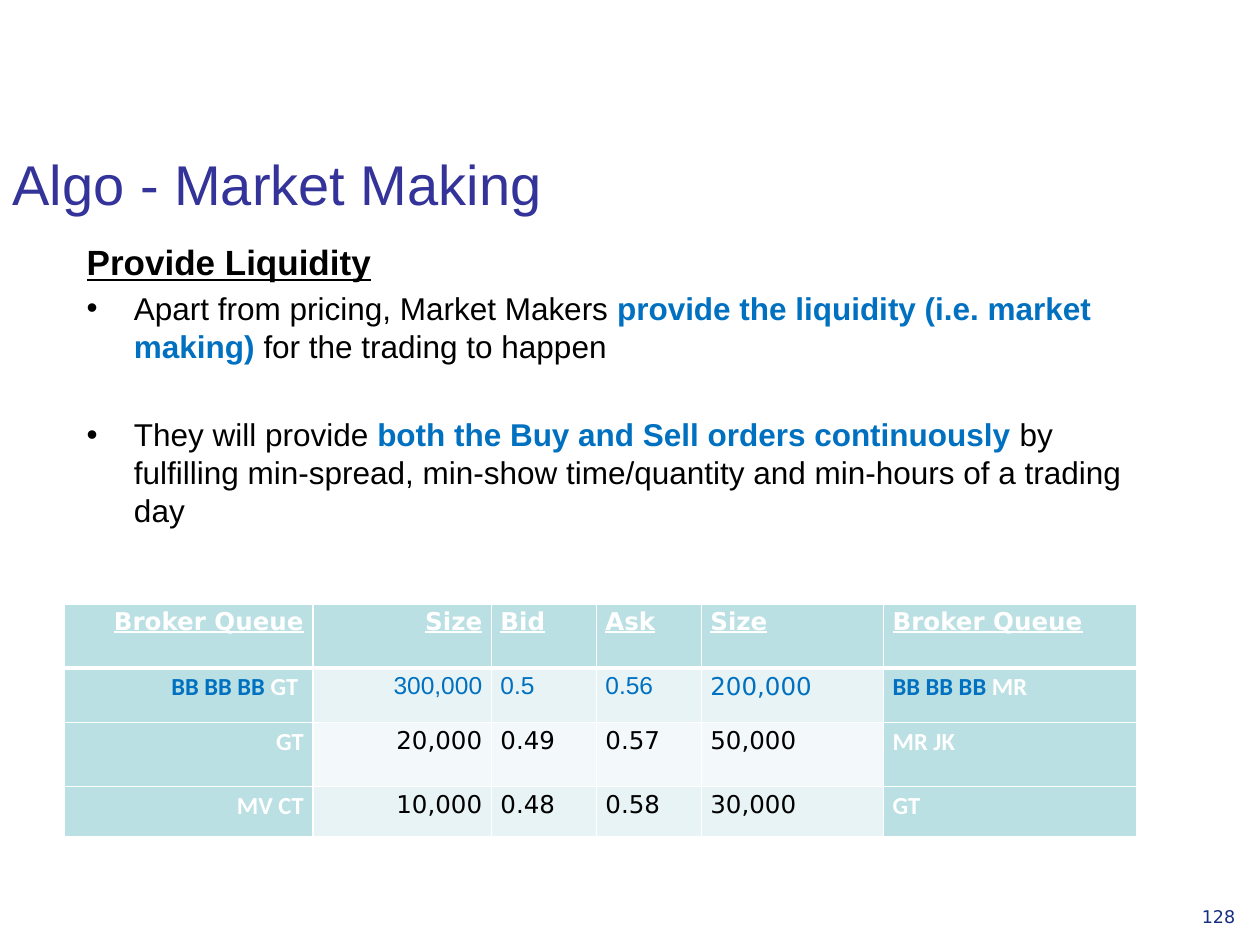
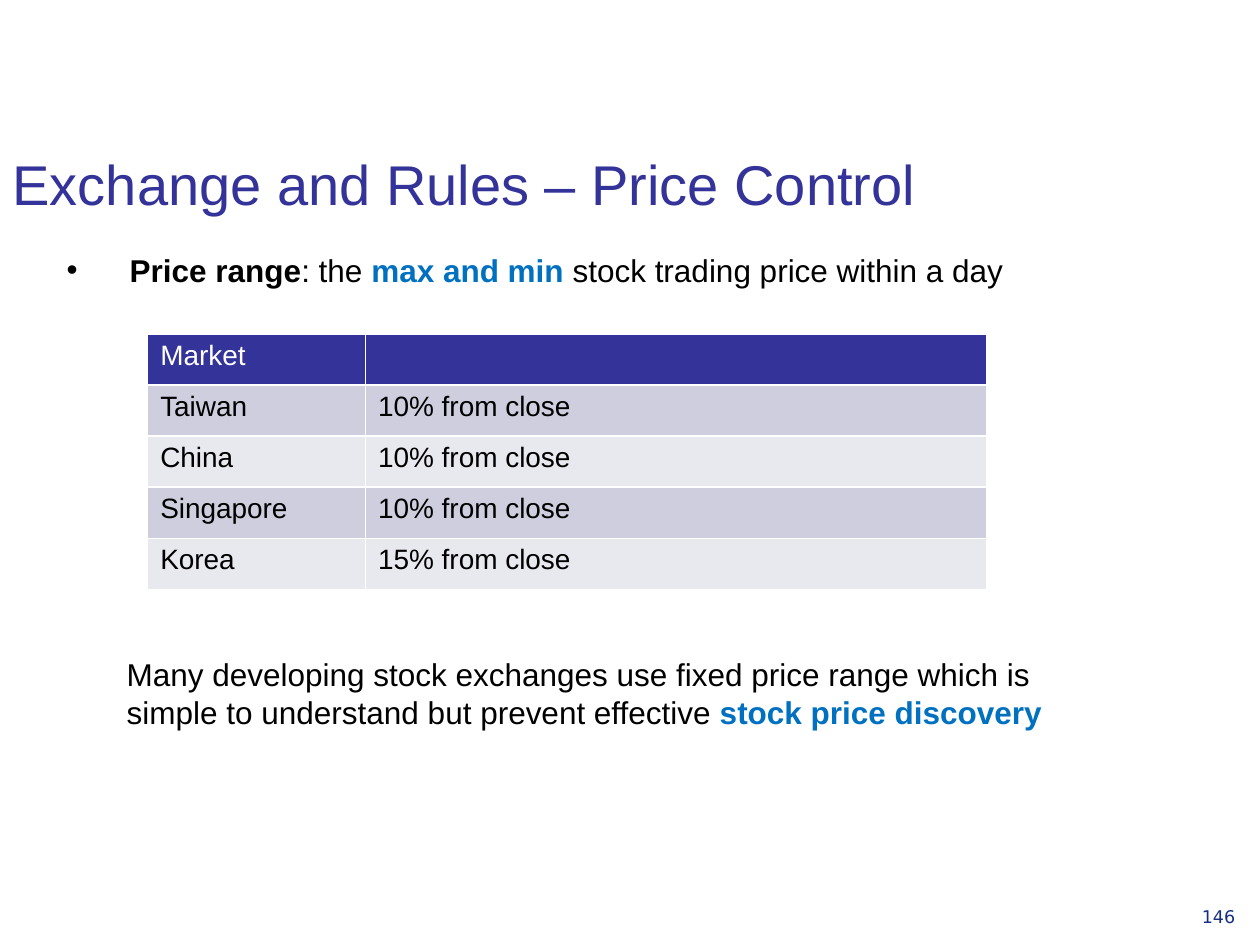
"""Build two slides on market making and price control."""
from dataclasses import dataclass
from typing import NamedTuple

from lxml import etree
from pptx import Presentation
from pptx import util as u
from pptx.dml.color import RGBColor
from pptx.enum import text as t
from pptx.oxml import ns

INK = {
    "title": "333399", "body": "000000", "key": "0070C0", "page": "152E82",
    "white": "FFFFFF", "teal": "BBE0E3", "mist": "E7F3F4", "pale": "F3F9FA",
    "lilac": "CECEDE", "fog": "E8E8EF",
}
SANS, WIDE, SLIM = "Arial", "DejaVu Sans", "Calibri"
LEFT, RIGHT = t.PP_ALIGN.LEFT, t.PP_ALIGN.RIGHT


class Box(NamedTuple):
    left: float
    top: float
    width: float
    height: float


class Span(NamedTuple):
    text: str
    ink: str = "body"
    bold: bool = False
    under: bool = False
    face: str = SANS
    size: float = 18


class Para(NamedTuple):
    spans: list[Span]
    indent: float = 0
    before: float = 0


class Cell(NamedTuple):
    spans: list[Span]
    fill: str
    align: t.PP_ALIGN = LEFT


@dataclass
class Grid:
    left: float
    top: float
    widths: list[float]
    heights: list[float]
    cells: list[list[Cell]]
    rule: float = 1
    inset: tuple[float, float] = (7.2, 3.6)
    pitch: float = 1


TITLE = Box(0, 49, 635.75, 78.5)
PAGE = Box(679.7, 514, 39.6, 28)


def place(shape, box: Box) -> None:
    shape.left, shape.top, shape.width, shape.height = map(u.Pt, box)


def write(para, text: str, *, ink: str, bold: bool, under: bool,
          face: str, size: float) -> None:
    run = para.add_run()
    run.text = text
    font = run.font
    font.name, font.size = face, u.Pt(size)
    font.bold, font.underline = bold, under
    font.color.rgb = RGBColor.from_string(INK[ink])


def fill_para(para, spans: list[Span]) -> None:
    for span in spans:
        write(para, **span._asdict())


def set_bullet(para, indent: float) -> None:
    props = para._p.get_or_add_pPr()
    props.set("marL", str(u.Pt(indent)))
    props.set("indent", str(-u.Pt(indent)))
    etree.SubElement(props, ns.qn("a:buFont"), typeface=SANS)
    etree.SubElement(props, ns.qn("a:buChar"), char="•")


def add_text(slide, box: Box, paras: list[Para]) -> None:
    shape = slide.shapes.add_textbox(*map(u.Pt, box))
    frame = shape.text_frame
    frame.word_wrap = True
    for i, item in enumerate(paras):
        para = frame.add_paragraph() if i else frame.paragraphs[0]
        if item.before:
            para.space_before = u.Pt(item.before)
        if item.indent:
            set_bullet(para, item.indent)
        fill_para(para, item.spans)


def add_edges(cell, top: float, base: float) -> None:
    props = cell._tc.get_or_add_tcPr()
    for side, width in zip("LRTB", (1, 1, top, base)):
        line = etree.SubElement(props, ns.qn(f"a:ln{side}"), w=str(u.Pt(width)))
        fill = etree.SubElement(line, ns.qn("a:solidFill"))
        etree.SubElement(fill, ns.qn("a:srgbClr"), val=INK["white"])


def add_grid(slide, grid: Grid) -> None:
    box = Box(grid.left, grid.top, sum(grid.widths), sum(grid.heights))
    table = slide.shapes.add_table(
        len(grid.heights), len(grid.widths), *map(u.Pt, box)).table
    table.first_row = table.horz_banding = False
    for col, width in zip(table.columns, grid.widths):
        col.width = u.Pt(width)
    for r, (row, height) in enumerate(zip(table.rows, grid.heights)):
        row.height = u.Pt(height)
        for cell, item in zip(row.cells, grid.cells[r]):
            add_edges(cell, grid.rule if r == 1 else 1,
                      grid.rule if r == 0 else 1)
            cell.fill.solid()
            cell.fill.fore_color.rgb = RGBColor.from_string(INK[item.fill])
            cell.margin_left = cell.margin_right = u.Pt(grid.inset[0])
            cell.margin_top = cell.margin_bottom = u.Pt(grid.inset[1])
            para = cell.text_frame.paragraphs[0]
            para.alignment = item.align
            para.line_spacing = grid.pitch
            fill_para(para, item.spans)


def add_slide(deck, title: str, page: str):
    slide = deck.slides.add_slide(deck.slide_layouts[5])
    head = slide.shapes.title
    place(head, TITLE)
    frame = head.text_frame
    frame.auto_size = t.MSO_AUTO_SIZE.NONE
    frame.vertical_anchor = t.MSO_ANCHOR.BOTTOM
    frame.paragraphs[0].alignment = LEFT
    fill_para(frame.paragraphs[0], [Span(title, "title", size=32)])
    add_text(slide, PAGE, [Para([Span(page, "page", face=WIDE, size=10)])])
    return slide


def key(text: str) -> Span:
    return Span(text, "key", True)


def queue_cells() -> list[list[Cell]]:
    heads = ["Broker Queue", "Size", "Bid", "Ask", "Size", "Broker Queue"]
    quotes = [
        ("GT ", "300,000", "0.5", "0.56", "200,000", "MR"),
        ("GT", "20,000", "0.49", "0.57", "50,000", "MR JK"),
        ("MV CT", "10,000", "0.48", "0.58", "30,000", "GT"),
    ]
    sides = [RIGHT] * 2 + [LEFT] * 4
    rows = [[Cell([Span(head, "white", True, True, WIDE, 14)], "teal", side)
             for head, side in zip(heads, sides)]]
    for r, quote in enumerate(quotes):
        best = r == 0
        row = []
        for c, (text, side) in enumerate(zip(quote, sides)):
            if c in (0, 5):
                spans = [Span(text, "white", True, face=SLIM, size=14)]
                if best:
                    spans.insert(0, Span("BB BB BB ", "key", True,
                                         face=SLIM, size=14))
                row.append(Cell(spans, "teal", side))
            else:
                face = SANS if best and c < 4 else WIDE
                span = Span(text, "key" if best else "body", face=face, size=14)
                row.append(Cell([span], "pale" if r % 2 else "mist", side))
        rows.append(row)
    return rows


def limit_cells() -> list[list[Cell]]:
    limits = [("Taiwan", "10%"), ("China", "10%"),
              ("Singapore", "10%"), ("Korea", "15%")]
    rows = [[Cell([Span("Market", "white", size=16)], "title"),
             Cell([], "title")]]
    for r, (name, limit) in enumerate(limits):
        fill = "fog" if r % 2 else "lilac"
        rows.append([Cell([Span(text, size=16)], fill)
                     for text in (name, f"{limit} from close")])
    return rows


def build_making(deck) -> None:
    slide = add_slide(deck, "Algo - Market Making", "128")
    add_text(slide, Box(42.5, 134, 607, 209.5), [
        Para([Span("Provide Liquidity", bold=True, under=True, size=20)]),
        Para([Span("Apart from pricing, Market Makers "),
              key("provide the liquidity (i.e. market making)"),
              Span(" for the trading to happen")], 27, 3.6),
        Para([Span("They will provide "),
              key("both the Buy and Sell orders continuously "),
              Span("by fulfilling min-spread, min-show time/quantity "
                   "and min-hours of a trading day")], 27, 29),
    ])
    add_grid(slide, Grid(
        37, 345, [141.8, 102, 60, 60, 104.2, 144.5], [36.7, 31.3, 36.4, 29],
        queue_cells(), rule=3, inset=(5.2, 0), pitch=1.15))


def build_price(deck) -> None:
    slide = add_slide(deck, "Exchange and Rules – Price Control", "146")
    add_text(slide, Box(31, 139.7, 680.4, 45.4), [
        Para([Span("Price range", bold=True), Span(": the "),
              key("max and min "),
              Span("stock trading price within a day")], 36)])
    add_grid(slide, Grid(84.4, 190.8, [124.5, 355], [29.2] * 5, limit_cells()))
    add_text(slide, Box(65.3, 371, 553.7, 51), [
        Para([Span("Many developing stock exchanges use fixed price range "
                   "which is simple to understand but prevent effective "),
              key("stock price discovery")])])


def main() -> None:
    deck = Presentation()
    deck.slide_width, deck.slide_height = u.Pt(720), u.Pt(540)
    build_making(deck)
    build_price(deck)
    deck.save("out.pptx")


if __name__ == "__main__":
    main()
